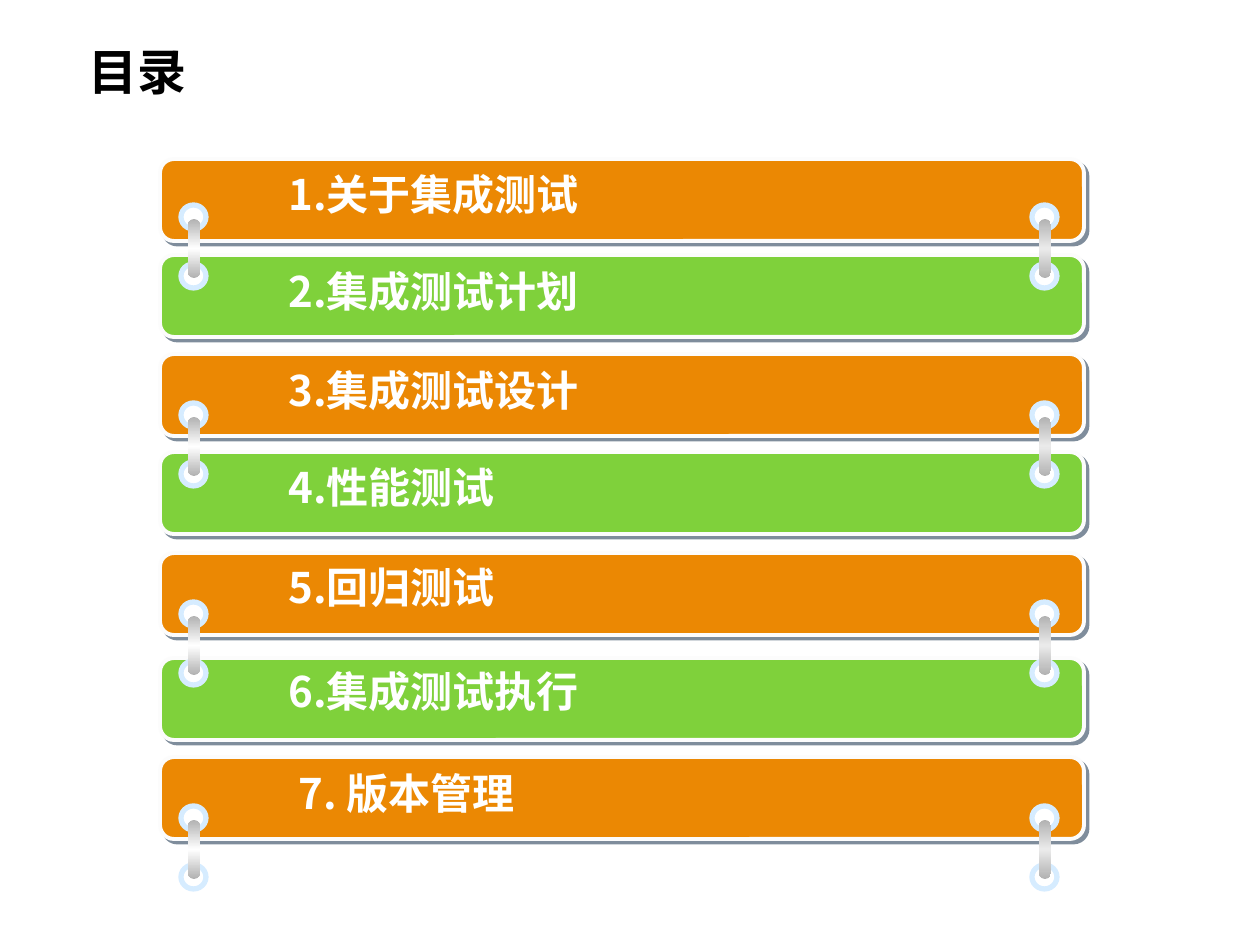
from dataclasses import dataclass
from typing import NamedTuple

from lxml.etree import SubElement
from pptx import Presentation
from pptx.dml.color import RGBColor
from pptx.enum.shapes import MSO_SHAPE as Shape
from pptx.enum.text import MSO_ANCHOR as Anchor, MSO_AUTO_SIZE as AutoSize, PP_ALIGN as Align
from pptx.oxml import parse_xml
from pptx.oxml.ns import nsdecls, qn
from pptx.util import Emu, Pt


@dataclass(frozen=True)
class Theme:
    """Colours, font and type sizes of the deck."""
    font: str = "Noto Sans CJK SC"
    title_size: int = 28
    label_size: int = 24
    title: str = "000000"
    label: str = "FFFFFF"
    bars: tuple = ("EB8803", "7FD13B")
    bar_line: str = "FCFCFC"
    shadow: str = "001D3A"
    ring: str = "FFFFFF"
    ring_line: str = "D6ECFF"
    pin_edge: str = "B2B2B2"
    pin_left: str = "FFFFFF"
    pin_right: str = "EAEAEA"


class Box(NamedTuple):
    """A rectangle in px."""
    left: int
    top: int
    width: int
    height: int

    def inner(self, left, top, width, height):
        """Return a box placed relative to this one."""
        return Box(self.left + left, self.top + top, width, height)

    def emu(self):
        """Return the four lengths in EMU."""
        return [px(value) for value in self]


class Entry(NamedTuple):
    """One line of the contents and where it stands."""
    text: str
    top: int
    label_left: int
    label_top: int


THEME = Theme()
PX_PER_INCH = 126
PAGE = Box(0, 0, 1260, 945)
TITLE = Box(76, 26, 772, 90)
BAR_LEFT, BAR_WIDTH, BAR_HEIGHT = 160, 924, 82
CLIP_TOPS = (205, 403, 602, 806)
CLIP_SIDES = ((1032, THEME.pin_right), (181, THEME.pin_left))
ENTRIES = (
    Entry("1.关于集成测试", 159, 116, 9),
    Entry("2.集成测试计划", 255, 116, 10),
    Entry("3.集成测试设计", 354, 116, 10),
    Entry("4.性能测试", 452, 116, 9),
    Entry("5.回归测试", 553, 116, 8),
    Entry("6.集成测试执行", 658, 116, 7),
    Entry("7. 版本管理", 757, 126, 10),
)


def px(value):
    """Turn px into EMU."""
    return Emu(round(value * 914400 / PX_PER_INCH))


def shadow_xml(color, alpha, distance):
    """Return an effect list with one hard shadow to the lower right."""
    return parse_xml(
        f'<a:effectLst {nsdecls("a")}>'
        f'<a:outerShdw blurRad="0" dist="{Pt(distance)}" dir="2700000" algn="ctr" rotWithShape="0">'
        f'<a:srgbClr val="{color}"><a:alpha val="{alpha * 1000}"/></a:srgbClr>'
        '</a:outerShdw></a:effectLst>')


def add_figure(shapes, kind, box, fill=None, line=None, weight=0, corner=None):
    """Add a preset shape without a shadow."""
    figure = shapes.add_shape(kind, *box.emu())
    figure.shadow.inherit = False
    if corner is not None:
        figure.adjustments[0] = corner
    if fill:
        figure.fill.solid()
        figure.fill.fore_color.rgb = RGBColor.from_string(fill)
    if line:
        figure.line.color.rgb = RGBColor.from_string(line)
        figure.line.width = Pt(weight)
    else:
        figure.line.fill.background()
    return figure


def add_span(para, text, size, color):
    """Add a bold run in the deck's font."""
    span = para.add_run()
    span.text = text
    span.font.size = Pt(size)
    span.font.bold = True
    span.font.color.rgb = RGBColor.from_string(color)
    span.font.name = THEME.font
    latin = span.font._element.find(qn("a:latin"))
    east_asian = SubElement(span.font._element, qn("a:ea"), typeface=THEME.font)
    latin.addnext(east_asian)
    return span


def add_title(page, box, text):
    """Fill the title placeholder."""
    title = page.shapes.title
    title.left, title.top, title.width, title.height = box.emu()
    title.text_frame.vertical_anchor = Anchor.MIDDLE
    para = title.text_frame.paragraphs[0]
    para.alignment = Align.LEFT
    add_span(para, text, THEME.title_size, THEME.title)


def add_bar(page, box, color):
    """Add one coloured bar with its shadow."""
    bar = add_figure(page.shapes, Shape.ROUNDED_RECTANGLE, box, color, THEME.bar_line, 2.25, 0.17)
    effects = bar._element.spPr.find(qn("a:effectLst"))
    effects.getparent().replace(effects, shadow_xml(THEME.shadow, 50, 2.8))


def add_label(page, box, text):
    """Add the shadowed label of a bar."""
    frame = page.shapes.add_textbox(*box.emu()).text_frame
    frame.word_wrap = True
    frame.auto_size = AutoSize.SHAPE_TO_FIT_TEXT
    para = frame.paragraphs[0]
    para.alignment = Align.LEFT
    para.line_spacing = 0.9
    layout = para._p.get_or_add_pPr()
    layout.set("marL", str(px(63)))
    layout.set("indent", str(px(-63)))
    span = add_span(para, text, THEME.label_size, THEME.label)
    latin = span.font._element.find(qn("a:latin"))
    latin.addprevious(shadow_xml("000000", 100, 2))


def add_clip(page, box, middle):
    """Add two rings joined by a shaded pin, as a group."""
    clip = page.shapes.add_group_shape()
    for top in (0, 59):
        add_figure(clip.shapes, Shape.OVAL, box.inner(0, top, 25, 24), THEME.ring, THEME.ring_line, 3)
    pin = add_figure(clip.shapes, Shape.ROUNDED_RECTANGLE, box.inner(7, 14, 12, 59), corner=0.5)
    colors = (THEME.pin_edge, middle, THEME.pin_edge)
    stops = "".join(f'<a:gs pos="{index * 50000}"><a:srgbClr val="{color}"/></a:gs>'
                    for index, color in enumerate(colors))
    pin._element.spPr.find(qn("a:prstGeom")).addnext(parse_xml(
        f'<a:gradFill {nsdecls("a")} rotWithShape="1"><a:gsLst>{stops}</a:gsLst>'
        '<a:lin ang="5400000" scaled="0"/></a:gradFill>'))


def add_contents(page):
    """Add the bars, then the clips and labels on top of them."""
    boxes = [Box(BAR_LEFT, entry.top, BAR_WIDTH, BAR_HEIGHT) for entry in ENTRIES]
    for index, box in enumerate(boxes):
        add_bar(page, box, THEME.bars[index % 2])
    for top in CLIP_TOPS:
        for left, middle in CLIP_SIDES:
            add_clip(page, Box(left, top, 25, 83), middle)
    for entry, box in zip(ENTRIES, boxes):
        add_label(page, box.inner(entry.label_left, entry.label_top, 693, 63), entry.text)


def main():
    """Build the deck and save it."""
    deck = Presentation()
    deck.slide_width, deck.slide_height = px(PAGE.width), px(PAGE.height)
    page = deck.slides.add_slide(deck.slide_layouts[5])
    add_title(page, TITLE, "目录")
    add_contents(page)
    deck.save("out.pptx")


if __name__ == "__main__":
    main()
